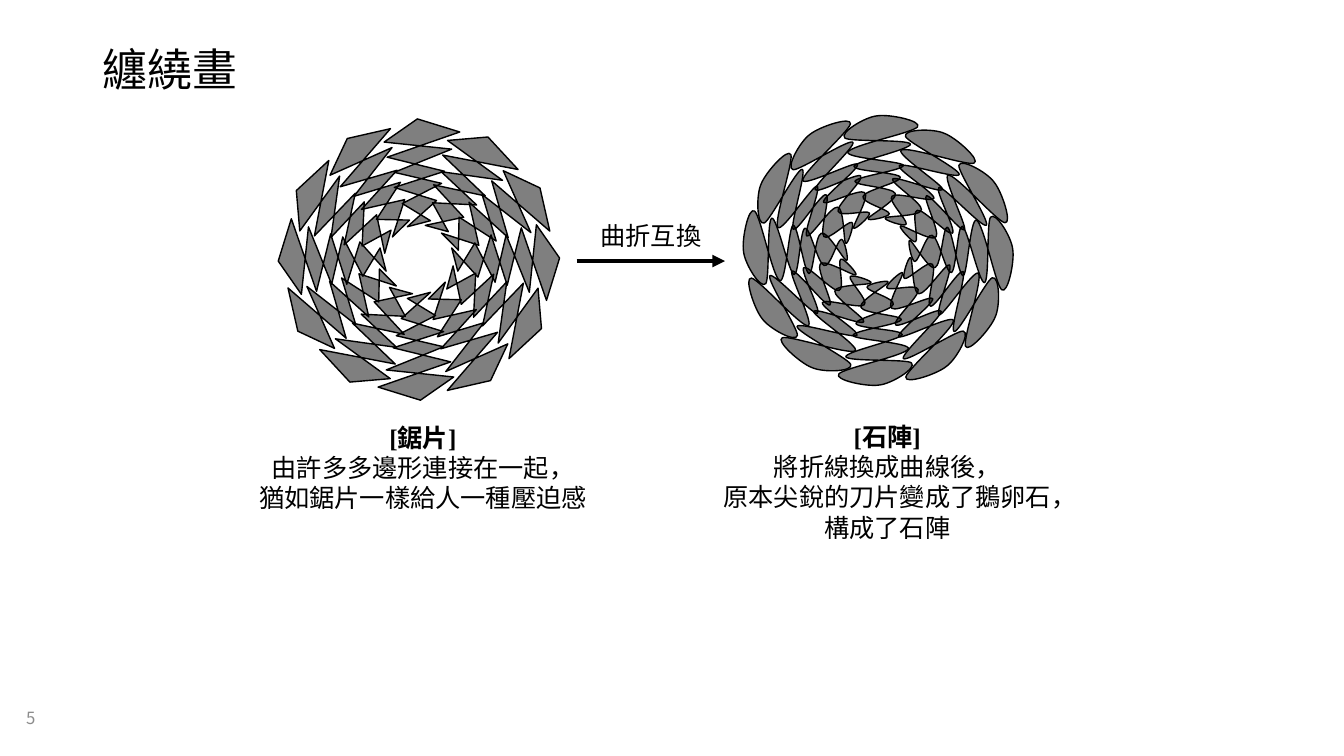
import math

import lxml.etree
import pptx
import pptx.dml.color
import pptx.enum.shapes
import pptx.enum.text
import pptx.oxml.ns
import pptx.util

Inches = pptx.util.Inches
ALIGN = pptx.enum.text.PP_ALIGN
qn = pptx.oxml.ns.qn

SANS, SERIF = "Noto Sans CJK SC", "Times New Roman"
BLACK, GREY = "000000", "8C8C8C"

TITLE = "纏繞畫"
PAGE_NUMBER = "5"
ARROW_LABEL = "曲折互換"
# Each caption: left, top, width, height, lines
CAPTIONS = [
    (2.42, 4.14, 3.55, 1.01,
     ["[鋸片]", "由許多多邊形連接在一起，", "猶如鋸片一樣給人一種壓迫感"]),
    (7, 4.13, 3.6, 1.31,
     ["[石陣]", "將折線換成曲線後，", "原本尖銳的刀片變成了鵝卵石，", "構成了石陣"]),
]

# The topmost piece of each ring; the other pieces are turned from it
BLADE_CENTER = (4.155, 2.575)
BLADE = [
    (4.14, 1.18), (3.81, 1.41), (4.48, 1.48), (3.91, 1.71), (4.38, 1.82),
    (3.99, 2.02), (4.27, 2.19), (4.04, 2.25), (4.33, 1.99), (3.91, 1.86),
    (4.41, 1.7), (3.84, 1.56), (4.56, 1.31),
]
STONE_CENTER = (8.71, 2.485)
STONE_START = (8.7, 1.15)
# Each curve: two control points and the end point
STONE_CURVES = [
    (8.58, 1.16), (8.32, 1.32), (8.38, 1.37),
    (8.43, 1.41), (9.01, 1.38), (9.03, 1.43),
    (9.04, 1.48), (8.49, 1.6), (8.47, 1.65),
    (8.46, 1.7), (8.92, 1.71), (8.93, 1.76),
    (8.94, 1.81), (8.57, 1.89), (8.56, 1.95),
    (8.54, 2.01), (8.82, 2.08), (8.82, 2.12),
    (8.83, 2.15), (8.6, 2.2), (8.61, 2.17),
    (8.62, 2.14), (8.91, 1.98), (8.88, 1.92),
    (8.86, 1.86), (8.47, 1.84), (8.48, 1.8),
    (8.49, 1.75), (8.97, 1.69), (8.96, 1.64),
    (8.94, 1.6), (8.39, 1.57), (8.41, 1.51),
    (8.44, 1.44), (9.05, 1.32), (9.1, 1.26),
    (9.15, 1.2), (8.82, 1.13), STONE_START,
]
PIECES = 12
STEP = 360 / PIECES
ANGLES = [(90 - STEP * index) % 360 for index in range(PIECES)]


def color(value):
    return pptx.dml.color.RGBColor.from_string(value)


def style_paragraph(paragraph, size, font, hex_color, alignment, bold=False):
    paragraph.alignment = alignment
    for run in paragraph.runs:
        run.font.size = pptx.util.Pt(size)
        run.font.bold = bold
        run.font.color.rgb = color(hex_color)
        run.font.name = font
        east_asian = lxml.etree.SubElement(run.font._element, qn("a:ea"))
        east_asian.set("typeface", SANS)


def add_text(slide, box, lines, size, font, hex_color, alignment, bold_first=False, wrap=True):
    shape = slide.shapes.add_textbox(*map(Inches, box))
    frame = shape.text_frame
    frame.word_wrap = wrap
    frame.text = "\n".join(lines)
    for index, paragraph in enumerate(frame.paragraphs):
        style_paragraph(paragraph, size, font, hex_color, alignment,
                        bold_first and index == 0)
    return shape


def turn(point, center, angle):
    """Rotate a point clockwise about a center."""
    cosine, sine = math.cos(math.radians(angle)), math.sin(math.radians(angle))
    x, y = point[0] - center[0], point[1] - center[1]
    return center[0] + x * cosine - y * sine, center[1] + x * sine + y * cosine


def add_piece(group, points):
    start, *others = [(Inches(x), Inches(y)) for x, y in points]
    builder = group.shapes.build_freeform(*start, scale=1)
    builder.add_line_segments(others, close=True)
    shape = builder.convert_to_shape()
    shape.shadow.inherit = False
    shape.fill.solid()
    shape.fill.fore_color.rgb = color(BLACK)
    fill_color = next(shape.element.spPr.iter(qn("a:srgbClr")))
    lxml.etree.SubElement(fill_color, qn("a:alpha")).set("val", "50000")
    shape.line.color.rgb = color(BLACK)
    shape.line.width = pptx.util.Pt(1)
    return shape


def bend_segments(shape):
    """Turn every three straight segments into one cubic curve."""
    segments = list(shape.element.iter(qn("a:lnTo")))
    for first in range(0, len(segments), 3):
        curve = lxml.etree.Element(qn("a:cubicBezTo"))
        segments[first].addprevious(curve)
        for segment in segments[first:first + 3]:
            curve.append(segment[0])
            segment.getparent().remove(segment)


def add_blade_ring(slide):
    group = slide.shapes.add_group_shape()
    xs, ys = zip(*BLADE)
    middle = ((min(xs) + max(xs)) / 2, (min(ys) + max(ys)) / 2)
    for angle in ANGLES:
        x, y = turn(middle, BLADE_CENTER, angle)
        shift_x, shift_y = x - middle[0], y - middle[1]
        blade = add_piece(group, [(px + shift_x, py + shift_y) for px, py in BLADE])
        blade.rotation = angle


def add_stone_ring(slide):
    group = slide.shapes.add_group_shape()
    for angle in ANGLES:
        points = [turn(point, STONE_CENTER, angle) for point in [STONE_START, *STONE_CURVES]]
        bend_segments(add_piece(group, points))


def add_arrow(slide):
    arrow = slide.shapes.add_connector(
        pptx.enum.shapes.MSO_CONNECTOR.STRAIGHT,
        Inches(5.72), Inches(2.59), Inches(7.19), Inches(2.59))
    arrow.line.color.rgb = color(BLACK)
    arrow.line.width = pptx.util.Pt(3)
    lxml.etree.SubElement(arrow.line._get_or_add_ln(), qn("a:tailEnd")).set("type", "triangle")
    lxml.etree.SubElement(arrow._element.spPr, qn("a:effectLst"))


def set_title(slide):
    title = slide.shapes.title
    title.left, title.top, title.width, title.height = map(Inches, (0.92, 0.4, 11.5, 0.62))
    frame = title.text_frame
    frame.text = TITLE
    frame.auto_size = pptx.enum.text.MSO_AUTO_SIZE.NONE
    frame.vertical_anchor = pptx.enum.text.MSO_ANCHOR.MIDDLE
    frame.paragraphs[0].line_spacing = 0.9
    style_paragraph(frame.paragraphs[0], 32, SANS, BLACK, ALIGN.LEFT)


def main():
    presentation = pptx.Presentation()
    presentation.slide_width, presentation.slide_height = Inches(13.33), Inches(7.5)
    slide = presentation.slides.add_slide(presentation.slide_layouts.get_by_name("Title Only"))
    set_title(slide)
    number = add_text(slide, (0.16, 6.93, 0.67, 0.39), [PAGE_NUMBER], 12, SANS, GREY, ALIGN.LEFT)
    number.text_frame.vertical_anchor = pptx.enum.text.MSO_ANCHOR.MIDDLE
    add_blade_ring(slide)
    add_stone_ring(slide)
    add_arrow(slide)
    add_text(slide, (5.85, 2.14, 1.21, 0.4), [ARROW_LABEL], 18, SERIF, BLACK,
             ALIGN.CENTER, wrap=False)
    for *box, lines in CAPTIONS:
        add_text(slide, box, lines, 18, SERIF, BLACK, ALIGN.CENTER, bold_first=True)
    presentation.save("out.pptx")


if __name__ == "__main__":
    main()
